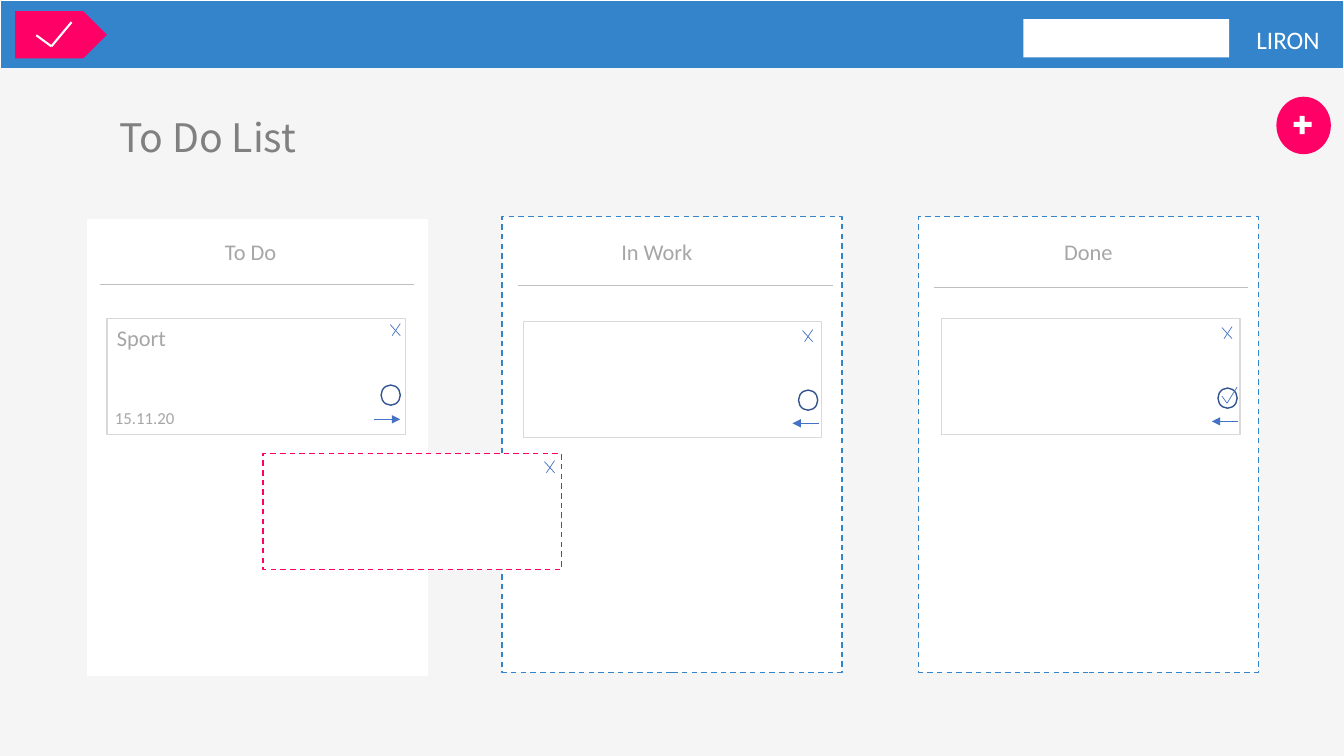
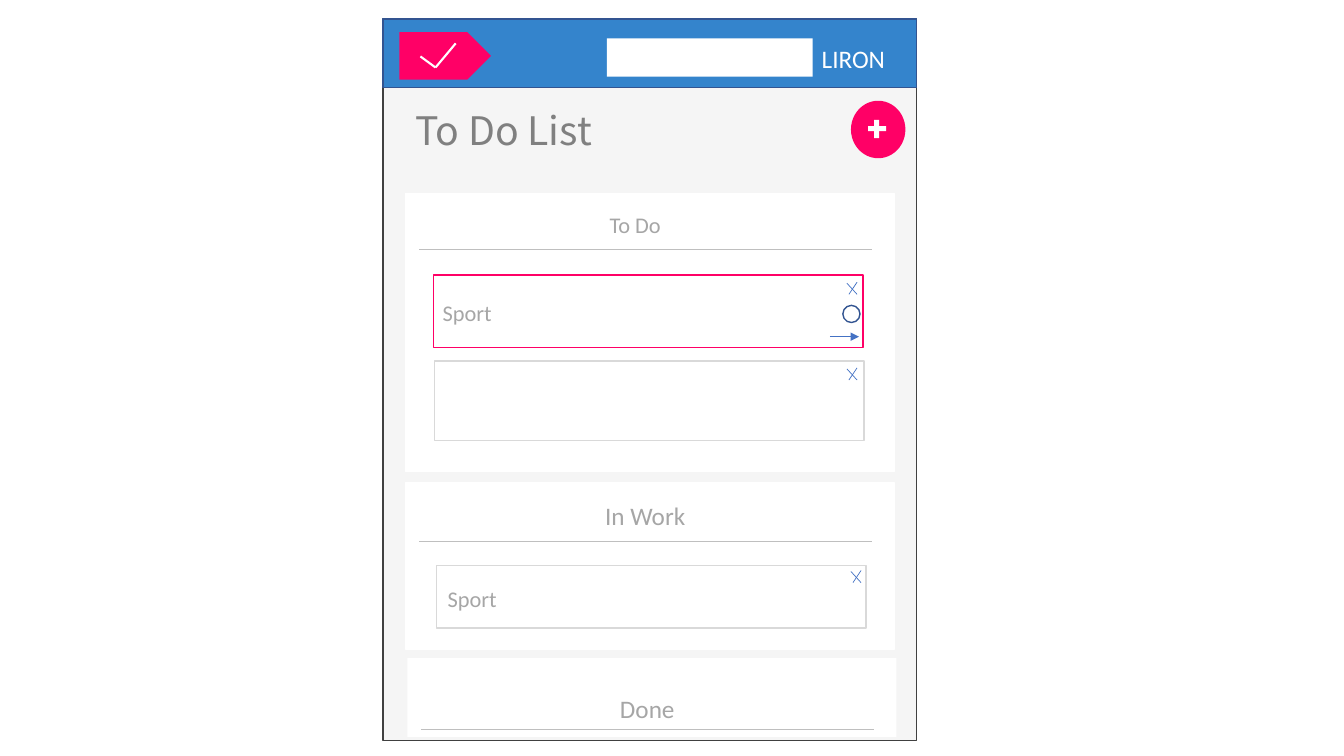
import lxml.etree
import pptx
import pptx.dml.color
import pptx.enum.dml
import pptx.enum.shapes
import pptx.enum.text
import pptx.oxml.ns
import pptx.util

Inches = pptx.util.Inches
Pt = pptx.util.Pt
RGBColor = pptx.dml.color.RGBColor
Shape = pptx.enum.shapes.MSO_SHAPE
Align = pptx.enum.text.PP_ALIGN
qn = pptx.oxml.ns.qn

WHITE = RGBColor(0xFF, 0xFF, 0xFF)
BACKDROP = RGBColor(0xF5, 0xF5, 0xF5)
BLUE = RGBColor(0x34, 0x84, 0xCC)
NAVY = RGBColor(0x32, 0x54, 0x91)
ICON_BLUE = RGBColor(0x44, 0x72, 0xC4)
PINK = RGBColor(0xFF, 0x00, 0x66)
CHARCOAL = RGBColor(0x40, 0x40, 0x40)
TITLE_GREY = RGBColor(0x80, 0x80, 0x80)
TEXT_GREY = RGBColor(0xA6, 0xA6, 0xA6)
RULE_GREY = RGBColor(0xBF, 0xBF, 0xBF)
CARD_GREY = RGBColor(0xD9, 0xD9, 0xD9)

TITLE_FONT = "Noto Sans CJK KR"
BODY_FONT = "Calibri"


class Board:
    def __init__(self):
        self.deck = pptx.Presentation()
        self.deck.slide_width = Inches(13.33)
        self.deck.slide_height = Inches(7.5)
        self.page = None

    def add_page(self):
        self.page = self.deck.slides.add_slide(self.deck.slide_layouts[5])

    def shape(self, kind, left, top, width, height, fill=None, line=None, dashed=False):
        shape = self.page.shapes.add_shape(
            kind, Inches(left), Inches(top), Inches(width), Inches(height))
        shape.shadow.inherit = False
        if fill is None:
            shape.fill.background()
        else:
            shape.fill.solid()
            shape.fill.fore_color.rgb = fill
        if line is None:
            shape.line.fill.background()
        else:
            shape.line.color.rgb = line
            shape.line.width = Pt(1)
            if dashed:
                shape.line.dash_style = pptx.enum.dml.MSO_LINE.DASH
        return shape

    def box(self, *bounds, **style):
        return self.shape(Shape.RECTANGLE, *bounds, **style)

    def line(self, start, end, color=ICON_BLUE, width=0.5, arrow=False):
        connector = self.page.shapes.add_connector(
            pptx.enum.shapes.MSO_CONNECTOR.STRAIGHT,
            *[Inches(value) for value in (*start, *end)])
        connector.line.color.rgb = color
        connector.line.width = Pt(width)
        properties = connector.element.spPr
        if arrow:
            outline = properties.find(qn("a:ln"))
            lxml.etree.SubElement(outline, qn("a:tailEnd"), type="triangle")
        lxml.etree.SubElement(properties, qn("a:effectLst"))

    def rule(self, left, top, width):
        self.line((left, top), (left + width, top), RULE_GREY)

    def set_text(self, box, text, size, color, font, align):
        frame = box.text_frame
        frame.text = text
        frame.word_wrap = True
        frame.auto_size = pptx.enum.text.MSO_AUTO_SIZE.NONE
        frame.vertical_anchor = pptx.enum.text.MSO_ANCHOR.MIDDLE
        frame.margin_left = frame.margin_right = 0
        frame.margin_top = frame.margin_bottom = 0
        para = frame.paragraphs[0]
        para.alignment = align
        para.font.size = Pt(size)
        para.font.name = font
        para.font.color.rgb = color

    def label(self, text, left, top, width, size=16, color=TEXT_GREY, align=Align.CENTER):
        box = self.page.shapes.add_textbox(
            Inches(left), Inches(top), Inches(width), Inches(0.4))
        self.set_text(box, text, size, color, BODY_FONT, align)

    def title(self, text, left, top, width, height):
        box = self.page.shapes.title
        box.left, box.top = Inches(left), Inches(top)
        box.width, box.height = Inches(width), Inches(height)
        self.set_text(box, text, 28, TITLE_GREY, TITLE_FONT, Align.CENTER)
        box.element.getparent().append(box.element)

    def cross(self, left, top):
        self.line((left, top + 0.01), (left + 0.1, top + 0.12))
        self.line((left + 0.02, top + 0.12), (left + 0.1, top))

    def tick(self, start, corner, end, **style):
        self.line(start, corner, **style)
        self.line(corner, end, **style)

    def ring(self, left, top, width, height):
        self.shape(Shape.OVAL, left, top, width, height, line=NAVY)

    def badge(self, left, top):
        self.shape(Shape.PENTAGON, left, top, 0.91, 0.47, fill=PINK)
        points = [(left + x, top + y) for x, y in ((0.21, 0.24), (0.36, 0.35), (0.56, 0.11))]
        self.tick(*points, color=WHITE, width=1.5)

    def add_button(self, left, top):
        self.shape(Shape.OVAL, left, top, 0.54, 0.57, fill=PINK)
        self.box(left + 0.23, top + 0.19, 0.05, 0.18, fill=WHITE)
        self.box(left + 0.17, top + 0.25, 0.18, 0.05, fill=WHITE)

    def search_field(self, left, top):
        self.box(left, top, 2.04, 0.38, fill=WHITE)


def build_desktop(board):
    board.add_page()
    board.box(0, 0, 13.33, 0.72, fill=BLUE, line=WHITE)
    board.box(0.01, 0.68, 13.32, 6.82, fill=BACKDROP, line=BACKDROP)
    board.title("To Do List", 0.71, 1.06, 2.7, 0.6)
    columns = [
        ("To Do", (0.87, 2.18), 1.55, (0.99, 2.82), (1.06, 3.16),
         (3.87, 3.21), (3.78, 3.82), (3.71, 3.97, 4.16)),
        ("In Work", (4.98, 2.15), 5.58, (5.14, 2.83), (5.19, 3.19),
         (7.96, 3.27), (7.92, 3.87), (8.12, 7.86, 4.2)),
        ("Done", (9.11, 2.15), 9.86, (9.26, 2.85), (9.34, 3.16),
         (12.12, 3.24), (12.08, 3.85), (12.28, 12.02, 4.18)),
    ]
    for name, panel, label_left, rule, card, cross, ring, arrow in columns:
        dashed = name != "To Do"
        board.box(*panel, 3.37, 4.52, fill=WHITE, line=BLUE if dashed else WHITE, dashed=dashed)
        board.label(name, label_left, 2.3, 1.87)
        board.rule(*rule, 3.12)
        board.box(*card, 2.96, 1.15, line=CARD_GREY)
        board.cross(*cross)
        board.ring(*ring, 0.19, 0.2)
        tail, head, level = arrow
        board.line((tail, level), (head, level), arrow=True)
    board.tick((12.12, 3.93), (12.17, 4), (12.27, 3.84))
    board.label("Sport", 1.16, 3.15, 1.5, align=Align.LEFT)
    board.label("15.11.20", 0.51, 3.95, 1.85, size=12)
    board.box(2.61, 4.5, 2.96, 1.15, fill=WHITE, line=PINK, dashed=True)
    board.cross(5.4, 4.57)
    board.search_field(10.15, 0.19)
    board.label("LIRON", 12.28, 0.19, 0.99, size=18, color=WHITE)
    board.add_button(12.66, 0.96)
    board.badge(0.15, 0.11)


def build_mobile(board):
    board.add_page()
    board.box(3.8, 0.19, 5.29, 7.16, fill=BACKDROP, line=CHARCOAL)
    board.box(3.8, 0.19, 5.29, 0.68, fill=BLUE, line=NAVY)
    board.title("To Do List", 3.94, 1.05, 2.11, 0.48)
    sections = [
        ("To Do", 4.02, 1.92, 2.76, 6.3, 2.03, 16, 2.47, WHITE),
        ("In Work", 4.02, 4.79, 1.65, 6.4, 4.91, 18, 5.37, WHITE),
        ("Done", 4.04, 6.53, 0.78, 6.42, 6.83, 18, 7.24, None),
    ]
    for name, left, top, height, center, label_top, size, rule_top, line in sections:
        board.box(left, top, 4.85, height, fill=WHITE, line=line)
        board.label(name, center - 1, label_top, 2, size=size)
        board.rule(left + 0.14, rule_top, 4.49)
    cards = [
        (4.3, 2.73, 0.72, PINK, 8.4, 2.8),
        (4.31, 3.58, 0.79, CARD_GREY, 8.4, 3.65),
        (4.33, 5.61, 0.62, CARD_GREY, 8.44, 5.66),
    ]
    for left, top, height, line, cross_left, cross_top in cards:
        board.box(left, top, 4.26, height, line=line)
        board.cross(cross_left, cross_top)
    for left, top in ((4.39, 2.9), (4.44, 5.74)):
        board.label("Sport", left, top, 1.5, align=Align.LEFT)
    board.ring(8.36, 3.03, 0.17, 0.17)
    board.line((8.23, 3.34), (8.52, 3.34), arrow=True)
    board.search_field(6.02, 0.38)
    board.label("LIRON", 8.15, 0.38, 0.9, size=18, color=WHITE, align=Align.LEFT)
    board.add_button(8.44, 1)
    board.badge(3.96, 0.32)


def main():
    board = Board()
    build_desktop(board)
    build_mobile(board)
    board.deck.save("out.pptx")


if __name__ == "__main__":
    main()
